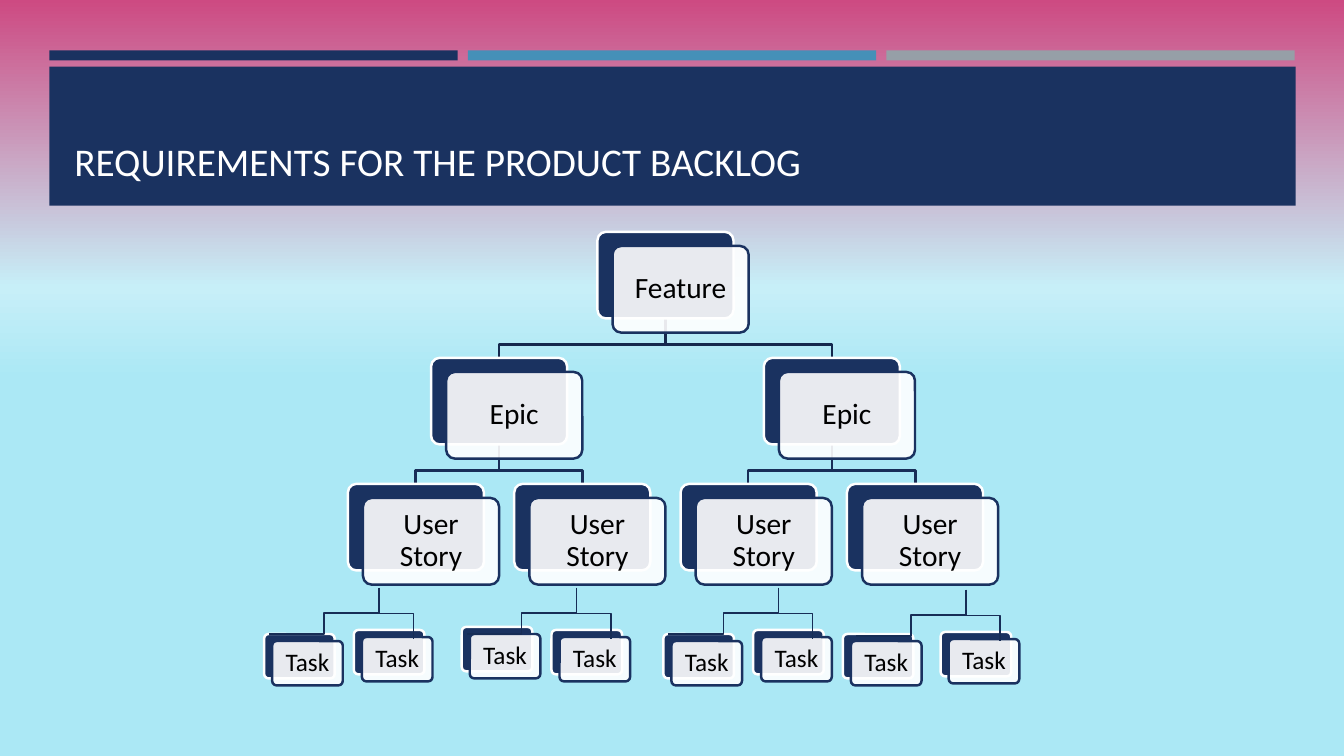
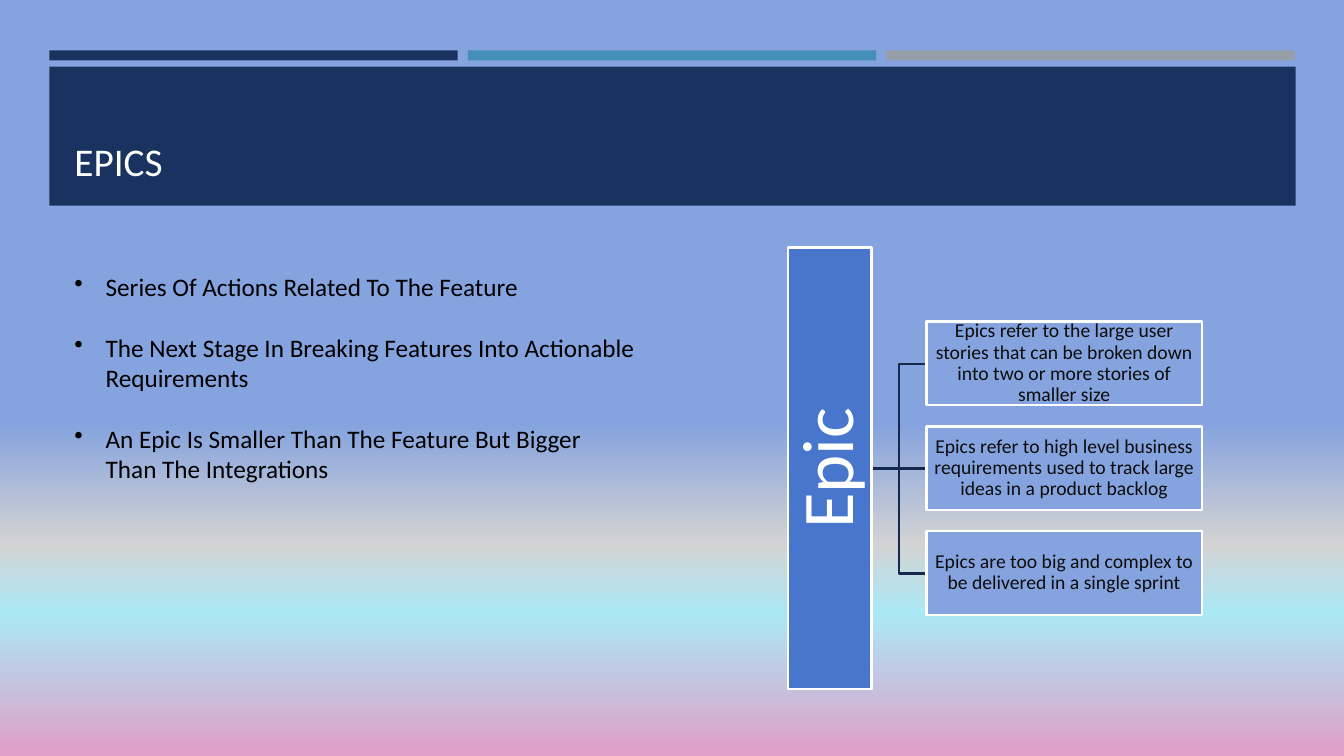
"""Build two slides about product backlog requirements and epics."""
import lxml.etree
import pptx
import pptx.dml.color
import pptx.enum.shapes
import pptx.enum.text
import pptx.oxml.ns
import pptx.util

EMU_PER_PX = 9144
FONT = "Calibri"
COLORS = {
    "navy": "1A3260", "blue": "4590B8", "gray": "969FA7", "white": "FFFFFF",
    "black": "000000", "ink": "0D0D0D", "royal": "4876CD", "sky": "85A3DE",
    "trunk": "15284D", "branch": "182D57", "twig": "172D56",
}
BACKLOG_STOPS = [(0, "CD4A82"), (38, "C7EFF8"), (50, "ABE8F5"), (100, "ABE8F5")]
EPICS_STOPS = [(0, "85A3DE"), (56, "85A3DE"), (72, "D3D3D3"), (81, "ABE8F5"), (100, "E09EC8")]

CARD = {"size": (135, 86), "offset": (15, 14), "inset": 11, "points": 21}
TASK_CARD = {"size": (70, 44), "offset": (8, 7), "inset": 8, "points": 18}
TREE_TOP, ROW_STEP = 230, 125
STORY_LEFT, STORY_STEP = 345, 165
TASK_PAIRS = [
    ((376, 608), (262, 629), (351, 625)),
    ((572, 608), (458, 622), (547, 625)),
    ((772, 608), (658, 629), (747, 625)),
    ((958, 610), (836, 629), (933, 627)),
]
BULLETS = [
    "Series Of Actions Related To The Feature",
    "The Next Stage In Breaking Features Into Actionable Requirements",
    "An Epic Is Smaller Than The Feature But Bigger Than The Integrations",
]
EPIC_NOTES = [
    "Epics refer to the large user stories that can be broken down into two or more stories of smaller size",
    "Epics refer to high level business requirements used to track large ideas in a product backlog",
    "Epics are too big and complex to be delivered in a single sprint",
]
Shape = pptx.enum.shapes.MSO_SHAPE
Connector = pptx.enum.shapes.MSO_CONNECTOR
Anchor = pptx.enum.text.MSO_ANCHOR
qn = pptx.oxml.ns.qn


def px(*lengths):
    return [round(length * EMU_PER_PX) for length in lengths]


def rgb(name):
    return pptx.dml.color.RGBColor.from_string(COLORS[name])


def set_line(line, color, width=1.75):
    line.color.rgb = rgb(color)
    line.width = pptx.util.Pt(width)


def set_background(page, stops):
    fill = page.background.fill
    fill.gradient()
    fill.gradient_angle = 270
    stop_list = next(page.element.iter(qn("a:gsLst")))
    for stop in list(stop_list):
        stop_list.remove(stop)
    for percent, color in stops:
        stop = lxml.etree.SubElement(stop_list, qn("a:gs"), pos=str(percent * 1000))
        lxml.etree.SubElement(stop, qn("a:srgbClr"), val=color)


def add_box(page, area, fill, line=None, kind=Shape.RECTANGLE, opacity=None):
    box = page.shapes.add_shape(kind, *px(*area))
    box.shadow.inherit = False
    box.fill.solid()
    box.fill.fore_color.rgb = rgb(fill)
    if line:
        set_line(box.line, line)
    else:
        box.line.fill.background()
    if kind == Shape.ROUNDED_RECTANGLE:
        box.adjustments[0] = 0.1
    if opacity:
        color = box.element.spPr.find(qn("a:solidFill"))[0]
        lxml.etree.SubElement(color, qn("a:alpha"), val=str(opacity * 1000))
    return box


def style_font(para, points, color):
    para.font.name = FONT
    para.font.size = pptx.util.Pt(points)
    para.font.color.rgb = rgb(color)


def set_label(box, text, points, color, inset):
    frame = box.text_frame
    frame.word_wrap = True
    frame.vertical_anchor = Anchor.MIDDLE
    frame.margin_left = frame.margin_right = px(inset)[0]
    frame.margin_top = frame.margin_bottom = px(inset)[0]
    para = frame.paragraphs[0]
    para.text = text
    para.alignment = pptx.enum.text.PP_ALIGN.CENTER
    para.line_spacing = 0.9
    style_font(para, points, color)


def add_text_box(page, area, texts, points, color):
    frame = page.shapes.add_textbox(*px(*area)).text_frame
    frame.word_wrap = True
    for index, text in enumerate(texts):
        para = frame.add_paragraph() if index else frame.paragraphs[0]
        para.text = text
        style_font(para, points, color)
    return frame


def add_bullets(page, area, texts):
    frame = add_text_box(page, area, texts, 18, "black")
    indent = px(31)[0]
    for index, para in enumerate(frame.paragraphs):
        if index:
            para.space_before = pptx.util.Pt(22)
        properties = para._p.get_or_add_pPr()
        properties.set("marL", str(indent))
        properties.set("indent", str(-indent))
        bullet = properties.makeelement(qn("a:buChar"), {"char": "•"})
        properties.find(qn("a:defRPr")).addprevious(bullet)


def add_connector(page, start, end, color, width, kind=Connector.ELBOW):
    connector = page.shapes.add_connector(kind, *px(*start, *end))
    set_line(connector.line, color, width)
    lxml.etree.SubElement(connector.element.spPr, qn("a:effectLst"))
    return connector


def add_drop_connector(page, start, end, color, width):
    (x1, y1), (x2, y2) = start, end
    center_x, center_y = (x1 + x2) / 2, (y1 + y2) / 2
    half_x, half_y = (x2 - x1) / 2, (y2 - y1) / 2
    connector = add_connector(
        page, (center_x + half_y, center_y - half_x),
        (center_x - half_y, center_y + half_x), color, width)
    connector.element.spPr.find(qn("a:xfrm")).set("rot", str(270 * 60000))


def add_branch(page, start, end, color):
    (x1, y1), (x2, y2) = start, end
    bend = y1 + 26
    outline = page.shapes.build_freeform(x1, y1, scale=EMU_PER_PX)
    outline.add_line_segments([(x1, bend), (x2, bend), (x2, y2)], close=False)
    branch = outline.convert_to_shape()
    branch.shadow.inherit = False
    branch.fill.background()
    set_line(branch.line, color)


def add_card(page, left, top, text, style):
    width, height = style["size"]
    shift_x, shift_y = style["offset"]
    rounded = Shape.ROUNDED_RECTANGLE
    add_box(page, (left, top, width, height), "navy", "white", rounded)
    front = add_box(page, (left + shift_x, top + shift_y, width, height),
                    "white", "navy", rounded, opacity=90)
    set_label(front, text, style["points"], "black", style["inset"])


def add_tree(page):
    stories = [STORY_LEFT + STORY_STEP * index for index in range(4)]
    epics = [sum(stories[index:index + 2]) / 2 for index in (0, 2)]
    levels = [("Feature", [sum(epics) / 2]), ("Epic", epics), ("User Story", stories)]
    width, height = CARD["size"]
    for depth, color in ((0, "trunk"), (1, "branch")):
        bottom = TREE_TOP + depth * ROW_STEP + height
        parents, children = levels[depth][1], levels[depth + 1][1]
        for index, child in enumerate(children):
            add_branch(page, (parents[index // 2] + width / 2, bottom),
                       (child + width / 2, TREE_TOP + (depth + 1) * ROW_STEP), color)
    for depth, (text, lefts) in enumerate(levels):
        for left in lefts:
            add_card(page, left, TREE_TOP + depth * ROW_STEP, text, CARD)


def add_tasks(page):
    for (x, y), left_task, right_task in TASK_PAIRS:
        add_card(page, *left_task, "Task", TASK_CARD)
        add_connector(page, (x, y), (x - 109, y + 21), "twig", 1)
        add_card(page, *right_task, "Task", TASK_CARD)
        add_drop_connector(page, (x, y - 25), (x + 34, y + 26), "twig", 1)


def add_epic_diagram(page):
    for index, note in enumerate(EPIC_NOTES):
        top = 319 + 104 * index
        kind = Connector.STRAIGHT if index == 1 else Connector.ELBOW
        add_connector(page, (864, 465), (919, top + 42), "trunk", 1.75, kind)
        box = add_box(page, (919, top, 273, 83), "sky", "white")
        set_label(box, note, 14, "ink", 1)
    bar = add_box(page, (604, 423, 438, 83), "royal", "white")
    bar.rotation = 270
    set_label(bar, "Epic", 52, "white", 4)


def add_page(deck, title, stops):
    page = deck.slides.add_slide(deck.slide_layouts[6])
    set_background(page, stops)
    for index, color in enumerate(("navy", "blue", "gray")):
        add_box(page, (49 + 415 * index, 50, 405, 10), color)
    add_box(page, (49, 66, 1236, 138), "navy")
    frame = add_text_box(page, (64, 80, 1206, 108), [title], 28, "white")
    frame.vertical_anchor = Anchor.BOTTOM
    return page


def main():
    deck = pptx.Presentation()
    deck.slide_width, deck.slide_height = px(1333, 750)
    backlog = add_page(deck, "REQUIREMENTS FOR THE PRODUCT BACKLOG", BACKLOG_STOPS)
    add_tree(backlog)
    add_tasks(backlog)
    epics = add_page(deck, "EPICS", EPICS_STOPS)
    add_bullets(epics, (64, 264, 576, 222), BULLETS)
    add_epic_diagram(epics)
    deck.save("out.pptx")


if __name__ == "__main__":
    main()
